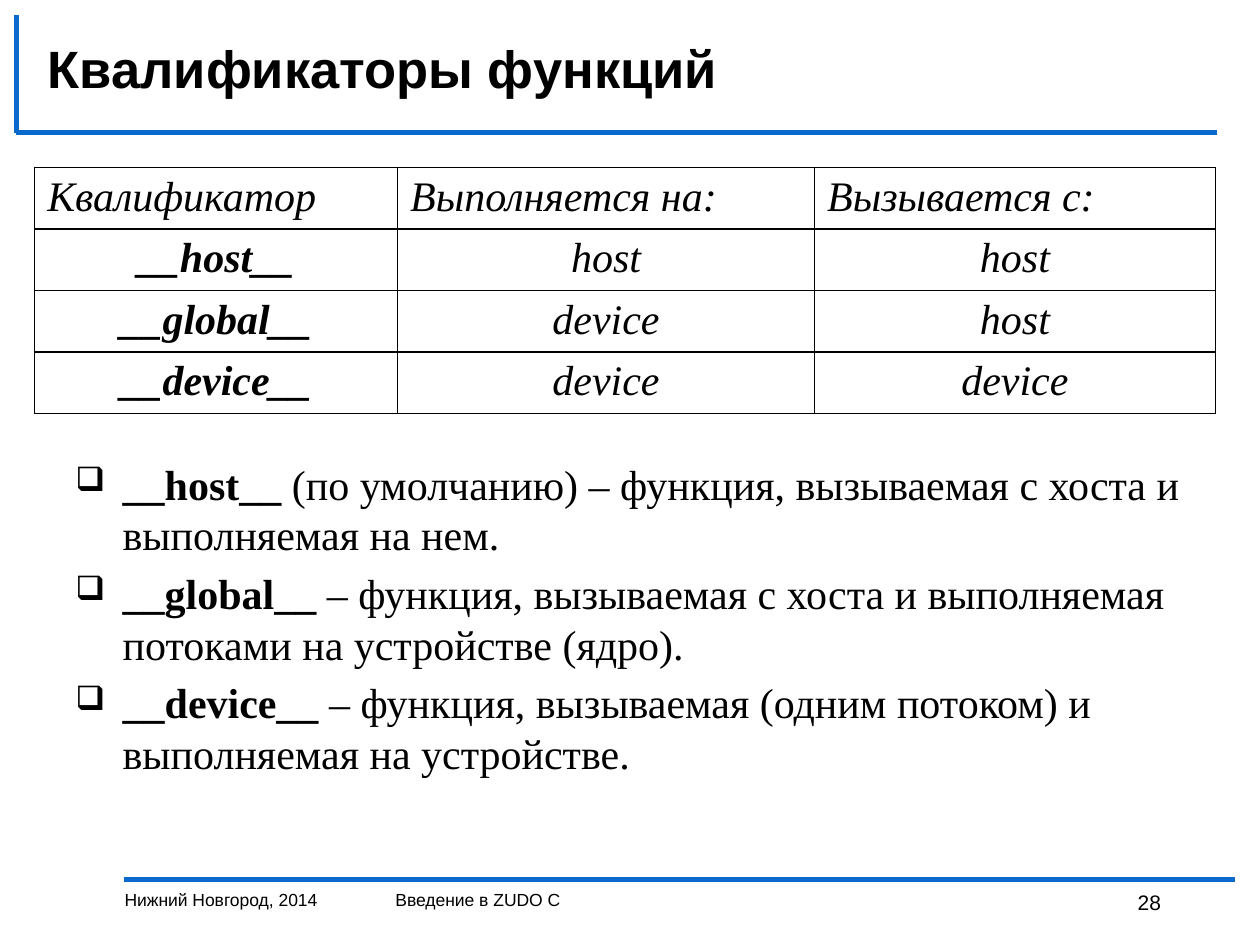
from dataclasses import dataclass

from lxml import etree
from pptx import Presentation
from pptx.dml.color import RGBColor
from pptx.enum.shapes import MSO_CONNECTOR
from pptx.enum.text import MSO_ANCHOR, PP_ALIGN
from pptx.oxml.ns import qn
from pptx.util import Pt

STRAIGHT = MSO_CONNECTOR.STRAIGHT
MIDDLE = MSO_ANCHOR.MIDDLE
CENTER = PP_ALIGN.CENTER
LEFT = PP_ALIGN.LEFT


@dataclass(frozen=True)
class Theme:
    """Colours, fonts and type sizes of the slide."""
    ink: str = "000000"
    blue: str = "0969CD"
    sans: str = "Arial"
    serif: str = "Times New Roman"
    title: int = 30
    body: int = 24
    page: int = 12
    foot: int = 10


THEME = Theme()

RULES = [
    (70.6, 502.6, 705.6, 502.6),
    (9.4, 75.6, 695.5, 75.6),
    (9.4, 8.6, 9.4, 76.3),
]
WIDTHS = [207.4, 238.3, 229]
ROW = 35.1
CELLS = [
    ("Квалификатор", "Выполняется на:", "Вызывается с:"),
    ("__host__", "host", "host"),
    ("__global__", "device", "host"),
    ("__device__", "device", "device"),
]
POINTS = [
    ("__host__ ", "(по умолчанию) – функция, вызываемая с хоста и "
                  "выполняемая на нем."),
    ("__global__ ", "– функция, вызываемая с хоста и выполняемая "
                    "потоками на устройстве (ядро)."),
    ("__device__ ", "– функция, вызываемая (одним потоком) и "
                    "выполняемая на устройстве."),
]


def add_run(para, text, size, font, bold=False, italic=False):
    """Append one styled run to a paragraph."""
    run = para.add_run()
    run.text = text
    run.font.size = Pt(size)
    run.font.name = font
    run.font.bold = bold
    run.font.italic = italic
    run.font.color.rgb = RGBColor.from_string(THEME.ink)


def add_box(slide, left, top, width, height):
    """Add a wrapping text box and return its frame."""
    box = slide.shapes.add_textbox(Pt(left), Pt(top), Pt(width), Pt(height))
    box.text_frame.word_wrap = True
    return box.text_frame


def add_label(slide, text, place, size, bold=False):
    """Add a one-line sans label and return its frame."""
    frame = add_box(slide, *place)
    add_run(frame.paragraphs[0], text, size, THEME.sans, bold)
    return frame


def add_rule(slide, ends):
    """Draw a blue rule without a shadow."""
    rule = slide.shapes.add_connector(STRAIGHT, *map(Pt, ends))
    rule.line.color.rgb = RGBColor.from_string(THEME.blue)
    rule.line.width = Pt(3)
    etree.SubElement(rule._element.spPr, qn("a:effectLst"))


def add_border(cell):
    """Give a cell a thin line on all four sides."""
    props = cell._tc.get_or_add_tcPr()
    for spot, side in enumerate(("a:lnL", "a:lnR", "a:lnT", "a:lnB")):
        line = etree.Element(qn(side), w=str(Pt(1)))
        fill = etree.SubElement(line, qn("a:solidFill"))
        etree.SubElement(fill, qn("a:srgbClr"), val=THEME.ink)
        props.insert(spot, line)


def add_grid(slide, left, top):
    """Add the table of qualifiers."""
    rows, cols = len(CELLS), len(WIDTHS)
    table = slide.shapes.add_table(
        rows, cols, Pt(left), Pt(top), Pt(sum(WIDTHS)), Pt(ROW * rows)).table
    for col, width in zip(table.columns, WIDTHS):
        col.width = Pt(width)
    for r, texts in enumerate(CELLS):
        table.rows[r].height = Pt(ROW)
        for c, text in enumerate(texts):
            cell = table.cell(r, c)
            cell.fill.background()
            cell.margin_bottom = Pt(2.5)
            add_border(cell)
            para = cell.text_frame.paragraphs[0]
            para.alignment = CENTER if r else LEFT
            add_run(para, text, THEME.body, THEME.serif,
                    bold=r > 0 and c == 0, italic=True)


def add_bullet(para):
    """Give a paragraph a hanging box bullet."""
    props = para._p.get_or_add_pPr()
    props.set("marL", str(Pt(27)))
    props.set("indent", str(Pt(-27)))
    etree.SubElement(props, qn("a:buSzPct"), val="80000")
    etree.SubElement(props, qn("a:buChar"), char="❑")


def add_list(slide, place):
    """Add the bulleted list with bold lead words."""
    frame = add_box(slide, *place)
    for i, (lead, rest) in enumerate(POINTS):
        para = frame.add_paragraph() if i else frame.paragraphs[0]
        para.space_before = Pt(4.8)
        add_bullet(para)
        add_run(para, lead, THEME.body, THEME.serif, bold=True)
        add_run(para, rest, THEME.body, THEME.serif)


def main():
    """Build the slide and save it."""
    deck = Presentation()
    deck.slide_width, deck.slide_height = Pt(720), Pt(540)
    slide = deck.slides.add_slide(deck.slide_layouts[6])
    for ends in RULES:
        add_rule(slide, ends)
    head = add_label(slide, "Квалификаторы функций",
                     (20.2, 16.6, 660.2, 43.9), THEME.title, bold=True)
    head.vertical_anchor = MIDDLE
    add_list(slide, (36, 258.5, 648, 226.8))
    add_label(slide, "Нижний Новгород, 2014",
              (64.1, 504.7, 149, 35.3), THEME.foot)
    add_label(slide, "28", (643, 504.7, 67.7, 35.3), THEME.page)
    add_label(slide, "Введение в ZUDO C",
              (218.9, 504.7, 419, 35.3), THEME.foot)
    add_grid(slide, 19.8, 95.8)
    deck.save("out.pptx")


main()
